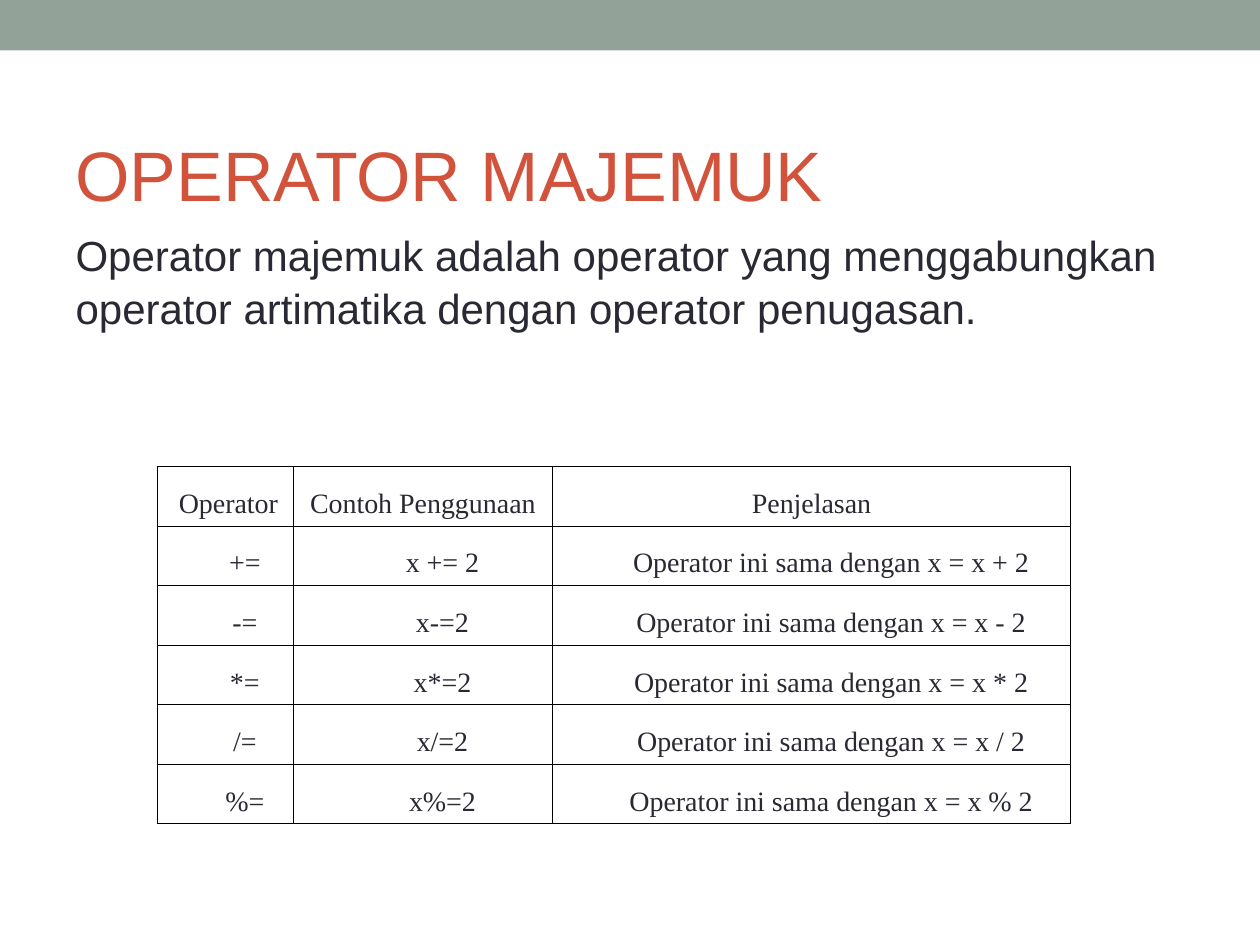
from lxml.etree import SubElement
from pptx import Presentation
from pptx.dml.color import RGBColor
from pptx.enum.shapes import MSO_SHAPE
from pptx.enum.text import MSO_ANCHOR, MSO_AUTO_SIZE, PP_ALIGN
from pptx.oxml.ns import qn
from pptx.util import Cm, Pt

SAGE = RGBColor(0x93, 0xA2, 0x99)
RUST = RGBColor(0xD2, 0x53, 0x3C)
INK = RGBColor(0x29, 0x29, 0x34)
BLACK = RGBColor(0, 0, 0)

SLIDE_WIDTH, SLIDE_HEIGHT = Cm(25.4), Cm(19.05)
COLUMN_WIDTHS = (Cm(2.74), Cm(5.23), Cm(10.44))
ROW_HEIGHT = Cm(1.2)
HEADINGS = ("Operator", "Contoh Penggunaan", "Penjelasan")
HEADING_INDENTS = (Cm(0.13), Cm(0), Cm(0))
ENTRY_INDENTS = (Cm(0.79),) * 3
EXAMPLES = (("+", "x += 2"), ("-", "x-=2"), ("*", "x*=2"), ("/", "x/=2"), ("%", "x%=2"))


def add_run(paragraph, wording, size, font, color):
    """Append one formatted run to a paragraph."""
    run = paragraph.add_run()
    run.text = wording
    run.font.size = Pt(size)
    run.font.name = font
    run.font.bold = False
    run.font.color.rgb = color


def fill_placeholder(placeholder, box, anchor, wording, size, color):
    """Move a placeholder to a box and give it one left-aligned paragraph."""
    placeholder.left, placeholder.top, placeholder.width, placeholder.height = box
    frame = placeholder.text_frame
    frame.auto_size = MSO_AUTO_SIZE.NONE
    frame.word_wrap = True
    frame.vertical_anchor = anchor
    paragraph = frame.paragraphs[0]
    paragraph.alignment = PP_ALIGN.LEFT
    paragraph.space_before = Pt(0)
    add_run(paragraph, wording, size, "Arial", color)
    return paragraph


def add_top_band(slide, box):
    """Draw the coloured band along the top edge."""
    band = slide.shapes.add_shape(MSO_SHAPE.RECTANGLE, *box)
    band.shadow.inherit = False
    band.fill.solid()
    band.fill.fore_color.rgb = SAGE
    band.line.fill.background()


def add_heading(slide, box):
    """Place the slide title."""
    fill_placeholder(slide.shapes.title, box, MSO_ANCHOR.MIDDLE, "OPERATOR MAJEMUK", 40, RUST)


def add_definition(slide, box):
    """Place the definition without a bullet."""
    definition = fill_placeholder(
        slide.placeholders[1], box, MSO_ANCHOR.TOP,
        "Operator majemuk adalah operator yang menggabungkan "
        "operator artimatika dengan operator penugasan.", 24, INK)
    definition.line_spacing = 1.05
    properties = definition._p.get_or_add_pPr()
    properties.set("marL", "0")
    properties.set("indent", "0")
    SubElement(properties, qn("a:buNone"))


def outline_cell(cell):
    """Put a thin black border on every side of a cell."""
    properties = cell._tc.get_or_add_tcPr()
    for side in ("lnL", "lnR", "lnT", "lnB"):
        border = SubElement(properties, qn(f"a:{side}"), w=str(Pt(0.45)))
        fill = SubElement(border, qn("a:solidFill"))
        SubElement(fill, qn("a:srgbClr"), val=str(BLACK))


def fill_cell(cell, wording, indent):
    """Write centred text in an unfilled, outlined cell."""
    outline_cell(cell)
    cell.fill.background()
    cell.margin_left = cell.margin_right = Cm(0.2)
    cell.margin_top = cell.margin_bottom = Cm(0.13)
    paragraph = cell.text_frame.paragraphs[0]
    paragraph.alignment = PP_ALIGN.CENTER
    paragraph.line_spacing = 1.5
    paragraph._p.get_or_add_pPr().set("marL", str(indent))
    add_run(paragraph, wording, 16, "Times New Roman", INK)


def add_operator_table(slide, left, top):
    """Build the table of compound operators from its top left corner."""
    entries = [(f"{sign}=", usage, f"Operator ini sama dengan x = x {sign} 2")
               for sign, usage in EXAMPLES]
    rows = [HEADINGS, *entries]
    table = slide.shapes.add_table(len(rows), len(HEADINGS), left, top,
                                   sum(COLUMN_WIDTHS), ROW_HEIGHT * len(rows)).table
    table.first_row = table.horz_banding = False
    for column, width in zip(table.columns, COLUMN_WIDTHS):
        column.width = width
    for number, (row, wordings) in enumerate(zip(table.rows, rows)):
        row.height = ROW_HEIGHT
        indents = ENTRY_INDENTS if number else HEADING_INDENTS
        for cell, wording, indent in zip(row.cells, wordings, indents):
            fill_cell(cell, wording, indent)


def main():
    """Build and save the slide."""
    presentation = Presentation()
    presentation.slide_width, presentation.slide_height = SLIDE_WIDTH, SLIDE_HEIGHT
    slide = presentation.slides.add_slide(presentation.slide_layouts[1])
    margin = Cm(1.27)
    text_width = SLIDE_WIDTH - 2 * margin
    add_top_band(slide, (0, 0, SLIDE_WIDTH, Cm(1.02)))
    add_heading(slide, (margin, Cm(1.9), text_width, Cm(3.18)))
    add_definition(slide, (margin, Cm(4.45), text_width, Cm(4.65)))
    add_operator_table(slide, Cm(3.17), Cm(9.4))
    presentation.save("out.pptx")


if __name__ == "__main__":
    main()
